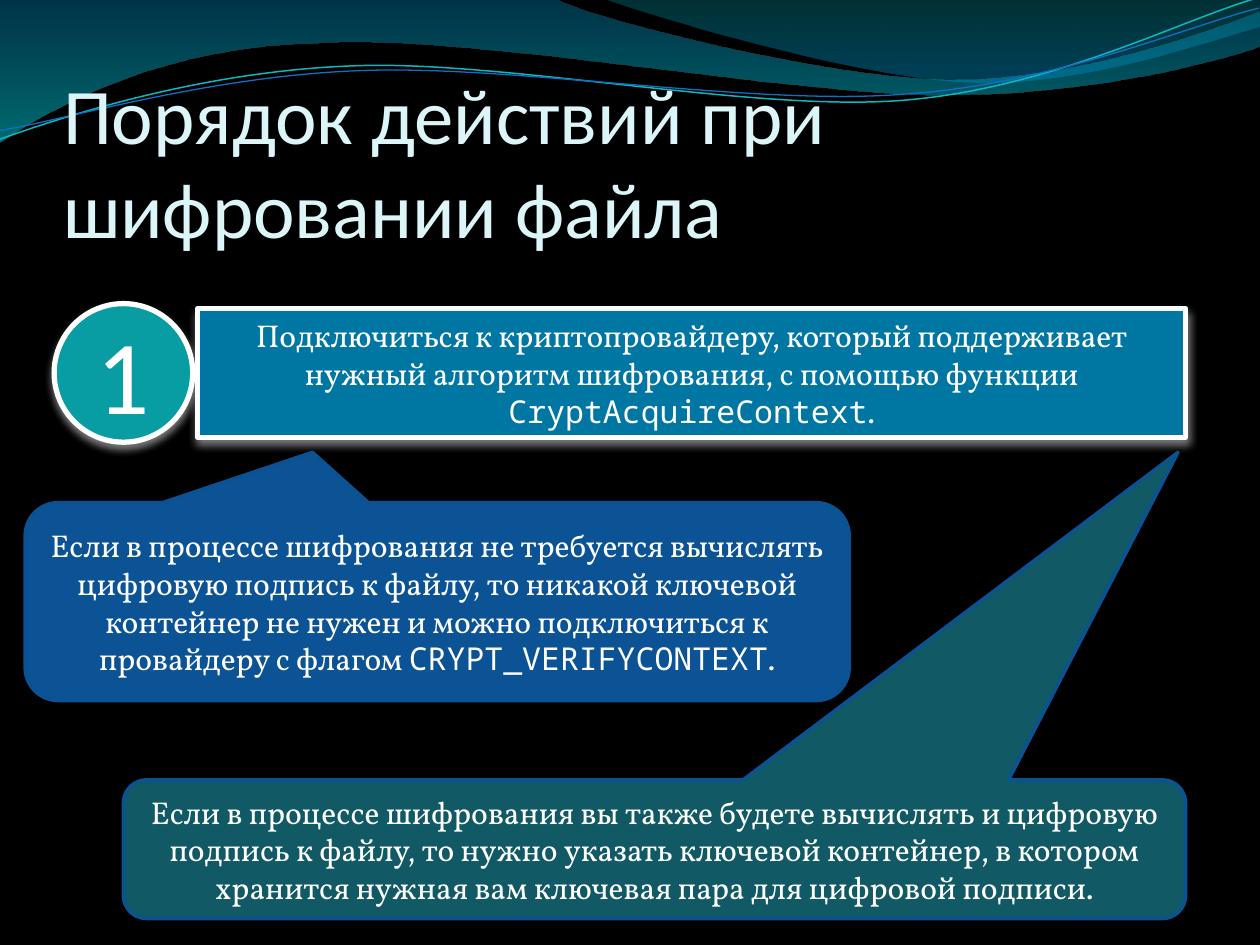
from lxml import etree
from pptx import Presentation
from pptx.dml.color import RGBColor
from pptx.enum.shapes import MSO_SHAPE
from pptx.enum.text import MSO_ANCHOR, MSO_AUTO_SIZE, PP_ALIGN
from pptx.oxml.ns import qn
from pptx.util import Inches, Pt

OVAL, RECTANGLE = MSO_SHAPE.OVAL, MSO_SHAPE.RECTANGLE
CALLOUT = MSO_SHAPE.ROUNDED_RECTANGULAR_CALLOUT
MIDDLE, BOTTOM = MSO_ANCHOR.MIDDLE, MSO_ANCHOR.BOTTOM
LEFT, CENTER = PP_ALIGN.LEFT, PP_ALIGN.CENTER
NO_AUTOFIT = MSO_AUTO_SIZE.NONE
HEADING, BODY, CODE = "Calibri", "Vollkorn", "Noto Sans Mono"
WHITE = "FFFFFF"


def color(value):
    return RGBColor.from_string(value)


def write_text(shape, runs, size, text_color, alignment, anchor):
    frame = shape.text_frame
    frame.word_wrap = True
    frame.auto_size = NO_AUTOFIT
    frame.vertical_anchor = anchor
    paragraph = frame.paragraphs[0]
    paragraph.alignment = alignment
    for text, font_name in runs:
        run = paragraph.add_run()
        run.text = text
        run.font.name = font_name
        run.font.size = Pt(size)
        run.font.color.rgb = color(text_color)


presentation = Presentation()
presentation.slide_width = Inches(10)
presentation.slide_height = Inches(7.5)
slide = presentation.slides.add_slide(presentation.slide_layouts[5])
slide.background.fill.solid()
slide.background.fill.fore_color.rgb = color("000000")

waves = [
    ((0, 0), [
        [(4.4, -0.01)],
        [(4.76, 0.17), (6.64, 0.63), (7.58, 0.63)],
        [(8.53, 0.63), (9.58, 0.26), (10, 0.09)],
        [(10.01, 0.36)],
        [(9.83, 0.44), (8.7, 0.76), (7.46, 0.75)],
        [(6.22, 0.75), (3.82, 0.28), (2.57, 0.34)],
        [(1.29, 0.36), (0.46, 0.83), (-0.01, 1.13)],
        [(0, 0)],
    ], [(0, "0074A1", 45), (1, "00C6CF", 55)], None),
    ((4.79, -0.01), [
        [(5.09, 0.11), (6.82, 0.62), (7.69, 0.65)],
        [(8.56, 0.69), (9.61, 0.32), (10, 0.21)],
        [(10, 0)],
        [(4.79, -0.01)],
    ], [(0, "00A1A9", 30), (0.8, "008BBF", 45)], None),
    ((-0.02, 0.87), [
        [(0.47, 0.72), (1.58, 0.41), (2.78, 0.42)],
        [(3.96, 0.42), (5.91, 0.93), (7.12, 0.9)],
        [(8.32, 0.87), (9.4, 0.36), (10, 0.22)],
    ], None, ("0AB8BF", 0.85)),
    ((-0.02, 0.8), [
        [(0.46, 0.75), (1.64, 0.45), (2.83, 0.46)],
        [(4.03, 0.46), (5.96, 0.89), (7.16, 0.85)],
        [(8.35, 0.83), (9.42, 0.42), (10.01, 0.3)],
    ], None, ("0F6FC6", 0.75)),
]
for start, segments, gradient, outline in waves:
    builder = slide.shapes.build_freeform(Inches(start[0]), Inches(start[1]))
    builder.add_line_segments(
        [(Inches(x), Inches(y)) for segment in segments for x, y in segment],
        close=gradient is not None)
    wave = builder.convert_to_shape()
    wave.shadow.inherit = False
    straight_lines = wave._element.spPr.iter(qn("a:lnTo"))
    straight_lines = iter(list(straight_lines))
    for segment in segments:
        pieces = [next(straight_lines) for _ in segment]
        if len(pieces) == 3:
            curve = etree.Element(qn("a:cubicBezTo"))
            pieces[0].addprevious(curve)
            for piece in pieces:
                curve.append(piece[0])
                piece.getparent().remove(piece)
    if gradient:
        wave.line.fill.background()
        wave.fill.gradient()
        wave.fill.gradient_angle = 270
        for stop, (position, stop_color, _) in zip(wave.fill.gradient_stops, gradient):
            stop.position = position
            stop.color.rgb = color(stop_color)
        stop_colors = wave._element.spPr.iter(qn("a:srgbClr"))
        for element, (_, _, opacity) in zip(stop_colors, gradient):
            etree.SubElement(element, qn("a:alpha"), val=str(opacity * 1000))
    else:
        wave.rotation = 357.3
        wave.fill.background()
        wave.line.color.rgb = color(outline[0])
        wave.line.width = Pt(outline[1])

title = slide.shapes.title
title.left, title.top, title.width, title.height = map(Inches, (0.5, 0.77, 9.08, 1.25))
slide.shapes._spTree.append(title._element)
write_text(title, [("Порядок действий при шифровании файла", HEADING)],
           45, "DBF5F9", LEFT, BOTTOM)
title.text_frame.margin_left = title.text_frame.margin_right = 0
title.text_frame.margin_top, title.text_frame.margin_bottom = Inches(0.05), 0

boxes = [
    (OVAL, (0.43, 2.41, 1.1, 1.1), "089CA3", (WHITE, 3), None, 60,
     [("1", HEADING)]),
    (RECTANGLE, (1.57, 2.45, 7.84, 1.02), "0076A3", (WHITE, 3), None, 18,
     [("Подключиться к криптопровайдеру, который поддерживает нужный алгоритм "
       "шифрования, с помощью функции ", BODY),
      ("CryptAcquireContext", CODE), (".", BODY)]),
    (CALLOUT, (0.2, 3.99, 6.54, 1.57), "0B5394", ("0B5292", 2), (2.48, 3.59), 18,
     [("Если в процессе шифрования не требуется вычислять цифровую подпись к файлу, "
       "то никакой ключевой контейнер не нужен и можно подключиться к провайдеру "
       "с флагом ", BODY),
      ("CRYPT_VERIFYCONTEXT", CODE), (".", BODY)]),
    (CALLOUT, (0.98, 6.19, 8.43, 1.1), "115964", ("0B5292", 2), (9.35, 3.59), 18,
     [("Если в процессе шифрования вы также будете вычислять и цифровую подпись "
       "к файлу, то нужно указать ключевой контейнер, в котором хранится нужная вам "
       "ключевая пара для цифровой подписи.", BODY)]),
]
for kind, (left, top, width, height), fill, outline, tip, size, runs in boxes:
    box = slide.shapes.add_shape(kind, *map(Inches, (left, top, width, height)))
    box.fill.solid()
    box.fill.fore_color.rgb = color(fill)
    box.line.color.rgb = color(outline[0])
    box.line.width = Pt(outline[1])
    box.shadow.inherit = False
    if tip:
        box.adjustments[0] = (tip[0] - left) / width - 0.5
        box.adjustments[1] = (tip[1] - top) / height - 0.5
    else:
        effects = box._element.spPr.find(qn("a:effectLst"))
        outer = etree.SubElement(
            effects, qn("a:outerShdw"), blurRad=str(Pt(4.5)), dist=str(Pt(3)),
            dir="5400000", rotWithShape="0")
        shadow_color = etree.SubElement(outer, qn("a:srgbClr"), val=WHITE)
        etree.SubElement(shadow_color, qn("a:alpha"), val="48000")
    write_text(box, runs, size, WHITE, CENTER, MIDDLE)

presentation.save("out.pptx")
